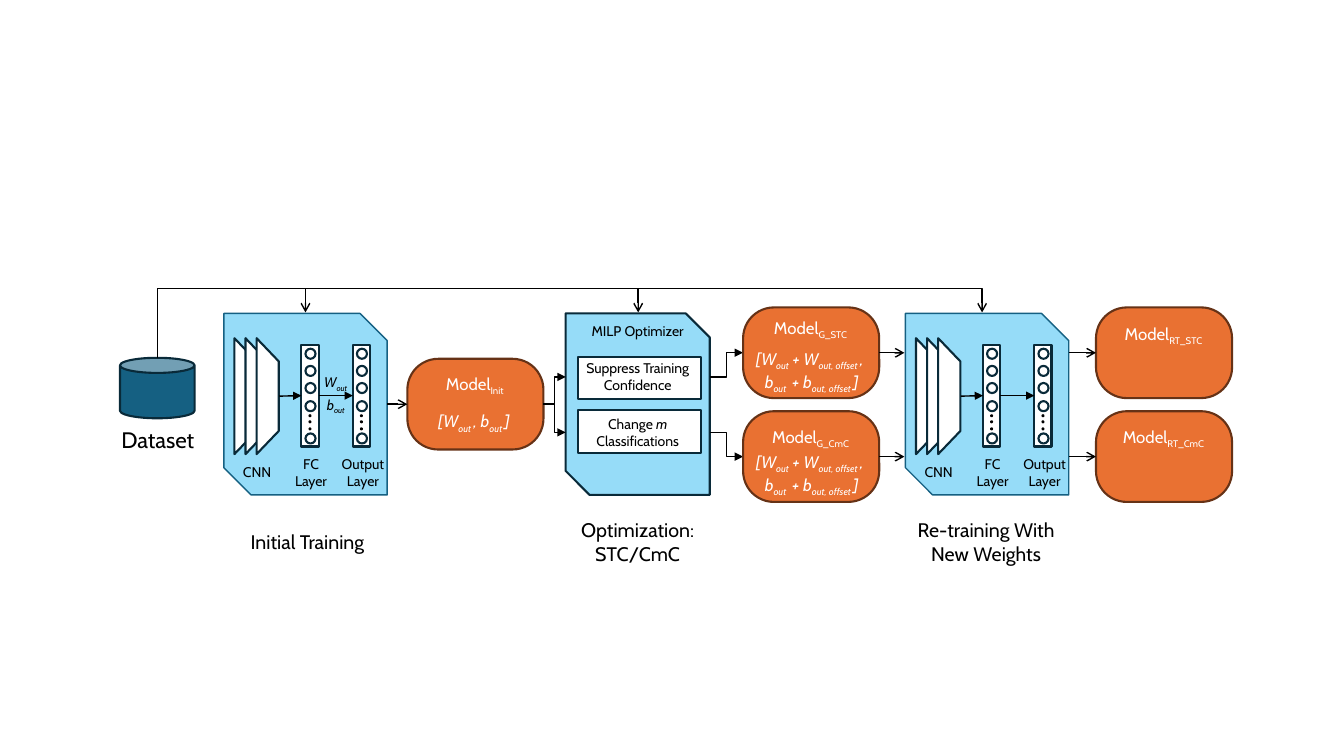
import pptx
import pptx.dml.color
import pptx.enum.shapes
import pptx.enum.text
import pptx.oxml
import pptx.oxml.ns
import pptx.util

RGB = pptx.dml.color.RGBColor
SHAPE = pptx.enum.shapes.MSO_SHAPE
CONNECTOR = pptx.enum.shapes.MSO_CONNECTOR

WHITE = RGB(0xFF, 0xFF, 0xFF)
BLACK = RGB(0x00, 0x00, 0x00)
TEAL = RGB(0x15, 0x60, 0x82)
NAVY = RGB(0x09, 0x2A, 0x39)
SKY = RGB(0x96, 0xDC, 0xF8)
ORANGE = RGB(0xE9, 0x71, 0x32)
BROWN = RGB(0x66, 0x32, 0x16)

FONT = "Cabin"
EMU_PER_PX = 9144
TOP, LEFT, RIGHT = 0, 1, 3


def px(length):
    return pptx.util.Emu(round(length * EMU_PER_PX))


class Diagram:
    """Draws styled elements on one slide, with lengths in px (100 to the inch)."""

    def __init__(self, slide):
        self.slide = slide
        self.shapes = slide.shapes

    def open_group(self):
        self.shapes = self.slide.shapes.add_group_shape().shapes

    def close_group(self):
        self.shapes = self.slide.shapes

    def shape(self, kind, x, y, w, h, fill=WHITE, line=NAVY, weight=1.5, rotation=0):
        shape = self.shapes.add_shape(kind, px(x), px(y), px(w), px(h))
        shape.shadow.inherit = False
        shape.rotation = rotation
        shape.fill.solid()
        shape.fill.fore_color.rgb = fill
        if line is None:
            shape.line.fill.background()
        else:
            shape.line.color.rgb = line
            shape.line.width = pptx.util.Pt(weight)
        return shape

    def text(self, content, x, y, w, h, size=10, color=BLACK, wrap=True):
        paragraphs = [[(content, "")]] if isinstance(content, str) else content
        box = self.shapes.add_textbox(px(x), px(y), px(w), px(h))
        frame = box.text_frame
        frame.word_wrap = wrap
        frame.auto_size = pptx.enum.text.MSO_AUTO_SIZE.SHAPE_TO_FIT_TEXT
        for index, runs in enumerate(paragraphs):
            paragraph = frame.add_paragraph() if index else frame.paragraphs[0]
            paragraph.alignment = pptx.enum.text.PP_ALIGN.CENTER
            for words, marks in runs:
                run = paragraph.add_run()
                run.text = words
                run.font.name = FONT
                run.font.size = pptx.util.Pt(size)
                run.font.color.rgb = color
                if "i" in marks:
                    run.font.italic = True
                if "s" in marks:
                    run.font._element.set("baseline", "-25000")

    def arrow(self, start, end, head="arrow", kind=CONNECTOR.STRAIGHT, source=None, target=None):
        connector = self.shapes.add_connector(kind, *map(px, start + end))
        if source is not None:
            connector.begin_connect(source, RIGHT)
        if target is not None:
            connector.end_connect(target, LEFT)
        connector.line.color.rgb = BLACK
        connector.line.width = pptx.util.Pt(1)
        tail = pptx.oxml.parse_xml(f'<a:tailEnd {pptx.oxml.ns.nsdecls("a")} type="{head}"/>')
        connector.line._get_or_add_ln().append(tail)
        effects = pptx.oxml.parse_xml(f'<a:effectLst {pptx.oxml.ns.nsdecls("a")}/>')
        connector._element.spPr.append(effects)
        return connector

    def elbow(self, start, end):
        return self.arrow(start, end, "triangle", CONNECTOR.ELBOW)

    def overhead_arrow(self, start, end, bus_y):
        (x1, y1), (x2, y2) = start, end
        mid_x, mid_y = (x1 + x2) / 2, (y1 + y2) / 2
        half_w, half_h = (y1 - y2) / 2, (x2 - x1) / 2
        connector = self.arrow((mid_x + half_w, mid_y + half_h),
                               (mid_x - half_w, mid_y - half_h), kind=CONNECTOR.ELBOW)
        properties = connector._element.spPr
        properties.find(pptx.oxml.ns.qn("a:xfrm")).set("rot", "5400000")
        bend = round((y1 - bus_y) / (y1 - y2) * 100000)
        guides = properties.find(pptx.oxml.ns.qn("a:prstGeom")).get_or_add_avLst()
        guides.append(pptx.oxml.parse_xml(
            f'<a:gd {pptx.oxml.ns.nsdecls("a")} name="adj1" fmla="val {bend}"/>'))

    def model(self, name, x, y, label_y):
        box = self.shape(SHAPE.ROUNDED_RECTANGLE, x, y, 135, 90, ORANGE, BROWN)
        box.adjustments[0] = 0.34
        self.text([[("Model", ""), (name, "s")]], x - 13, label_y, 160, 30, 12, WHITE)
        return box

    def layer(self, x):
        column = self.shape(SHAPE.RECTANGLE, x, 342, 17, 101)
        for y in (346, 363, 380, 398, 430):
            self.shape(SHAPE.OVAL, x + 4, y, 10, 10)
        for y in (411, 417, 424):
            self.shape(SHAPE.OVAL, x + 7, y, 3, 3, BLACK, None)
        return column

    def network(self, x, weights=()):
        self.open_group()
        self.shape(SHAPE.SNIP_2_DIAG_RECTANGLE, x, 311, 162, 180, SKY, TEAL, 1)
        for index in range(3):
            self.shape(SHAPE.FLOWCHART_MANUAL_OPERATION, x - 36 + 11 * index, 382, 115, 22,
                       rotation=270)
        fc_layer, output_layer = self.layer(x + 77), self.layer(x + 128)
        self.arrow((x + 55, 393), (x + 77, 393), "triangle", target=fc_layer)
        self.arrow((x + 94, 393), (x + 128, 393), "triangle",
                   source=fc_layer, target=output_layer)
        self.text("CNN", x + 8, 455, 50, 27)
        self.text("FC Layer", x + 58, 447, 57, 44)
        self.text("Output Layer", x + 106, 447, 64, 44)
        for symbol, y in weights:
            self.text([[(symbol, "i"), ("out", "is")]], x + 88, y, 46, 27, wrap=False)
        self.close_group()


def main():
    deck = pptx.Presentation()
    deck.slide_width, deck.slide_height = px(1333), px(750)
    diagram = Diagram(deck.slides.add_slide(deck.slide_layouts[6]))

    diagram.shape(SHAPE.CAN, 119, 355, 74, 60, TEAL)
    diagram.text("Dataset", 87, 418, 139, 37, 16)
    for stage_x in (303, 633, 974):
        diagram.overhead_arrow((156, 355), (stage_x, 310), 286)

    diagram.network(222, weights=(("W", 366), ("b", 388)))
    initial_model = diagram.model("Init", 404, 356, 366)
    diagram.arrow((384, 401), (404, 401), target=initial_model)
    diagram.text([[("[W", "i"), ("out ", "is"), (", b", "i"), ("out ", "is"), ("]", "i")]],
                 421, 403, 98, 30, 12, WHITE, wrap=False)

    diagram.shape(SHAPE.SNIP_2_DIAG_RECTANGLE, 561, 311, 143, 180, SKY)
    diagram.text("MILP Optimizer", 561, 315, 143, 27)
    suppress = "Suppress Training Confidence"
    change = [[("Change ", ""), ("m", "i"), (" Classifications", "")]]
    for method, box_y, text_y in ((suppress, 354, 352), (change, 407, 407)):
        diagram.shape(SHAPE.RECTANGLE, 573, box_y, 122, 42)
        diagram.text(method, 561, text_y, 143, 44)

    diagram.network(898)
    offset_weights = [
        [("[W", "i"), ("out", "is"), (" + W", "i"), ("out, offset ", "is"), (", ", "i")],
        [("b", "i"), ("out ", "is"), (" + b", "i"), ("out, offset ", "is"), ("]", "i")],
    ]
    branches = (
        ("STC", 305, 310, 316, 341, 374),
        ("CmC", 408, 418, 418, 443, 429),
    )
    for branch, y, label_y, retrained_label_y, weights_y, method_y in branches:
        middle = y + 45
        diagram.elbow((539, 401), (561, method_y))
        diagram.elbow((704, method_y), (737, middle))
        optimized = diagram.model(f"G_{branch}", 737, y, label_y)
        diagram.text(offset_weights, 733, weights_y, 144, 50, 12, WHITE)
        retrained = diagram.model(f"RT_{branch}", 1087, y, retrained_label_y)
        diagram.arrow((872, middle), (897, middle), source=optimized)
        diagram.arrow((1060, middle), (1087, middle), target=retrained)

    diagram.text("Initial Training", 226, 521, 158, 34, 14)
    diagram.text("Optimization: STC/CmC", 561, 509, 143, 57, 14)
    diagram.text("Re-training With New Weights", 897, 509, 162, 57, 14)

    deck.save("out.pptx")


if __name__ == "__main__":
    main()
